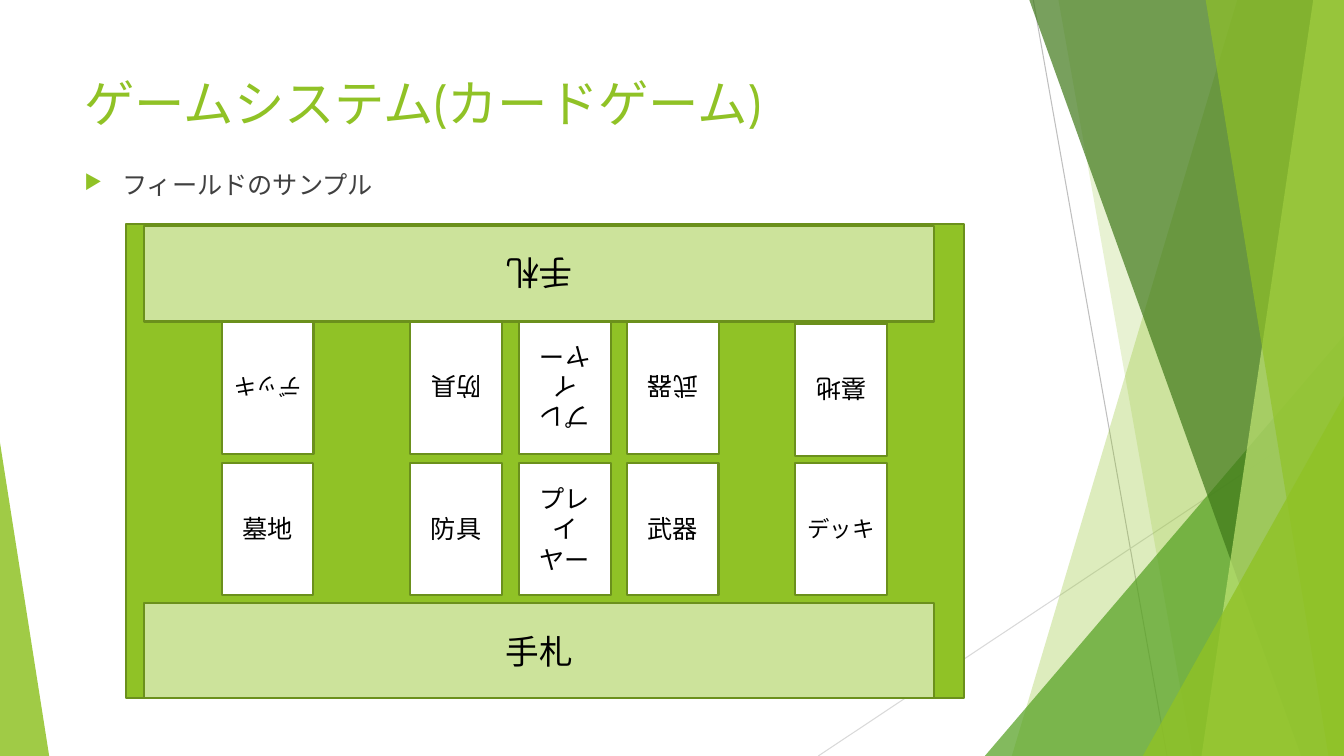
"""Builds a slide showing a sample card game field inside a green faceted frame."""
from lxml import etree
from pptx import Presentation
from pptx.dml.color import RGBColor
from pptx.enum.shapes import MSO_CONNECTOR, MSO_SHAPE
from pptx.enum.text import MSO_ANCHOR, PP_ALIGN
from pptx.oxml.ns import qn
from pptx.util import Cm, Pt

STRAIGHT = MSO_CONNECTOR.STRAIGHT
RECT, TRIANGLE = MSO_SHAPE.RECTANGLE, MSO_SHAPE.ISOSCELES_TRIANGLE
CENTER, LEFT = PP_ALIGN.CENTER, PP_ALIGN.LEFT
MIDDLE, TOP = MSO_ANCHOR.MIDDLE, MSO_ANCHOR.TOP

FONT = "Cabin"
GREEN, EDGE, WHITE, BLACK, GREY = "90C226", "6B901C", "FFFFFF", "000000", "404040"
SLIDE_W, SLIDE_H = 33.87, 19.05

TITLE = "ゲームシステム(カードゲーム)"
BULLET = "フィールドのサンプル"
HAND = "手札"
DECK, GRAVE = "デッキ", "墓地"

RAYS = [
    ((26.04, 0), (29.41, SLIDE_H), "BFBFBF"),
    ((SLIDE_W, 10.24), (20.62, SLIDE_H), "D9D9D9"),
]
# top x, bottom x, colour, opacity; None marks the place of the large triangle
FACETS = [
    ("band", 31.19, 25.5, GREEN, 30),
    ("band", 26.67, 30.05, GREEN, 20),
    ("corner", 24.82, 8.46, "54A021", 72),
    ("band", 25.93, 32.79, "3F7819", 70),
    ("band", 33.1, 30.28, "C0E474", 70),
    ("band", 30.38, 33.48, GREEN, 65),
    ("corner", 28.8, 9.98, GREEN, 80),
]
LEFT_CORNER = (0, 11.15, 1.24, 7.9)

BOARD = (3.18, 5.64, 21.11, 11.96)
HAND_X, HAND_W, HAND_H = 3.63, 19.91, 2.41
CARD_W, CARD_H = 2.31, 3.33
COLUMNS = [5.59, 10.34, 13.08, 15.8, 20.04]
EQUIPMENT = ["防具", "プレイヤー", "武器"]
SIDES = [
    {"cards": [GRAVE, *EQUIPMENT, DECK], "card_y": 11.66, "hand_y": 15.19, "turn": 0},
    {"cards": [DECK, *EQUIPMENT, GRAVE], "card_y": 8.1, "hand_y": 5.69, "turn": 180},
]
GRAVE_DROP = 0.05


def rgb(value):
    return RGBColor.from_string(value)


def paint(shape, color, opacity=100, edge=None):
    shape.shadow.inherit = False
    shape.fill.solid()
    shape.fill.fore_color.rgb = rgb(color)
    if opacity < 100:
        tint = shape.fill._xPr.find(qn("a:solidFill"))[0]
        etree.SubElement(tint, qn("a:alpha"), val=str(opacity * 1000))
    if edge:
        shape.line.color.rgb = rgb(edge)
        shape.line.width = Pt(1.5)
    else:
        shape.line.fill.background()


def write(shape, words, size, color, align, anchor):
    frame = shape.text_frame
    frame.word_wrap = True
    frame.vertical_anchor = anchor
    paragraph = frame.paragraphs[0]
    paragraph.alignment = align
    run = paragraph.add_run()
    run.text = words
    run.font.size = Pt(size)
    run.font.name = FONT
    run.font.color.rgb = rgb(color)
    return paragraph


def add_ray(shapes, start, end, color):
    ray = shapes.add_connector(STRAIGHT, *map(Cm, start + end))
    ray.line.color.rgb = rgb(color)
    ray.line.width = Pt(0.75)
    etree.SubElement(ray._element.spPr, qn("a:effectLst"))


def add_band(shapes, top_x, bottom_x, color, opacity):
    corners = [(top_x, -0.03), (SLIDE_W, -0.03), (SLIDE_W, SLIDE_H), (bottom_x, SLIDE_H)]
    points = [(Cm(x), Cm(y)) for x, y in corners]
    outline = shapes.build_freeform(*points[0])
    outline.add_line_segments(points[1:], close=True)
    paint(outline.convert_to_shape(), color, opacity)


def add_corner(shapes, box, apex, color, opacity):
    corner = shapes.add_shape(TRIANGLE, *map(Cm, box))
    corner.adjustments[0] = apex
    paint(corner, color, opacity)


def add_zone(shapes, box, words, size, turn, opacity=100):
    zone = shapes.add_shape(RECT, *map(Cm, box))
    zone.rotation = turn
    paint(zone, WHITE, opacity, EDGE)
    write(zone, words, size, BLACK, CENTER, MIDDLE)


def add_text(shapes, box, words, size, color):
    return write(shapes.add_textbox(*map(Cm, box)), words, size, color, LEFT, TOP)


def add_bullet(paragraph):
    paragraph.space_before = Pt(10)
    props = paragraph._p.get_or_add_pPr()
    props.set("marL", str(Cm(0.95)))
    props.set("indent", str(Cm(-0.95)))
    tint = etree.SubElement(props, qn("a:buClr"))
    etree.SubElement(tint, qn("a:srgbClr"), val=GREEN)
    etree.SubElement(props, qn("a:buSzPct"), val="80000")
    etree.SubElement(props, qn("a:buChar"), char="▶")


deck = Presentation()
deck.slide_width, deck.slide_height = Cm(SLIDE_W), Cm(SLIDE_H)
shapes = deck.slides.add_slide(deck.slide_layouts[6]).shapes

for start, end, color in RAYS:
    add_ray(shapes, start, end, color)
for kind, first, second, color, opacity in FACETS:
    if kind == "band":
        add_band(shapes, first, second, color, opacity)
    else:
        box = (first, second, SLIDE_W - first, SLIDE_H - second)
        add_corner(shapes, box, 1, color, opacity)
add_corner(shapes, LEFT_CORNER, 0, GREEN, 85)

add_text(shapes, (1.88, 1.7, 23.88, 3.66), TITLE, 36, GREEN)
add_bullet(add_text(shapes, (1.88, 4.14, 23.88, 10.77), BULLET, 18, GREY))

paint(shapes.add_shape(RECT, *map(Cm, BOARD)), GREEN, edge=EDGE)
for side in SIDES:
    turn = side["turn"]
    for x, card in zip(COLUMNS, side["cards"]):
        y = side["card_y"] + (GRAVE_DROP if turn and card == GRAVE else 0)
        add_zone(shapes, (x, y, CARD_W, CARD_H), card, 16 if card == DECK else 18, turn)
    add_zone(shapes, (HAND_X, side["hand_y"], HAND_W, HAND_H), HAND, 24, turn, 54)

deck.save("out.pptx")
